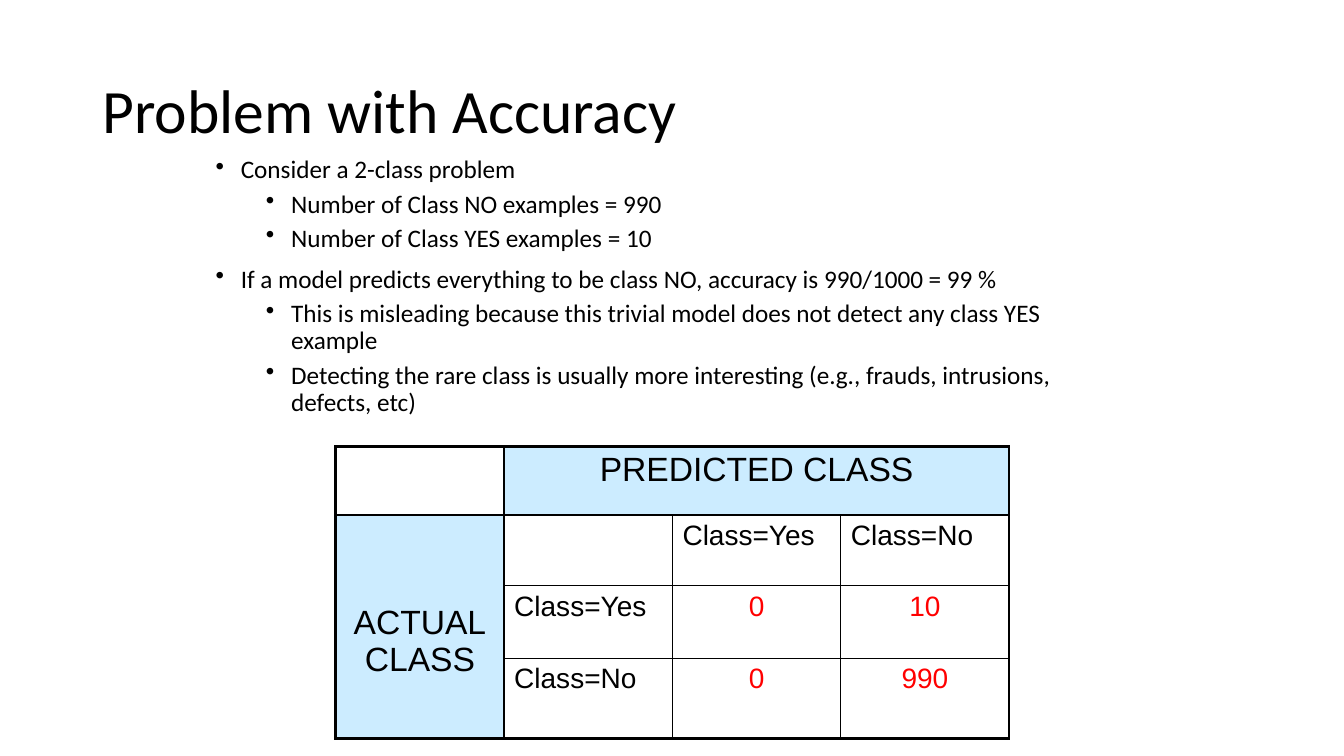
import pptx
import pptx.dml.color
import pptx.enum.text
import pptx.oxml
import pptx.oxml.ns
import pptx.util

SCALE = 9144
HUES = {"ink": "000000", "pale": "CCECFF", "red": "FF0000"}
ALIGN = pptx.enum.text.PP_ALIGN
ANCHOR = pptx.enum.text.MSO_ANCHOR
POINTS = [
    (0, "Consider a 2-class problem"),
    (1, "Number of Class NO examples = 990"),
    (1, "Number of Class YES examples = 10"),
    (0, "If a model predicts everything to be class NO, accuracy is 990/1000 = 99 %"),
    (1, "This is misleading because this trivial model does not detect any class YES example"),
    (1, "Detecting the rare class is usually more interesting (e.g., frauds, intrusions, defects, etc)"),
]
LABELS = [(1, 2, "Class=Yes"), (1, 3, "Class=No"), (2, 1, "Class=Yes"), (3, 1, "Class=No")]
COUNTS = [(2, 2, "0"), (2, 3, "10"), (3, 2, "0"), (3, 3, "990")]


def px(size):
    return pptx.util.Emu(size * SCALE)


def tint(name):
    return pptx.dml.color.RGBColor.from_string(HUES[name])


def add_run(para, text, size, face, hue="ink"):
    run = para.add_run()
    run.text = text
    run.font.size = pptx.util.Pt(size)
    run.font.name = face
    run.font.color.rgb = tint(hue)


def add_box(slide, place, anchor):
    frame = slide.shapes.add_textbox(*map(px, place)).text_frame
    frame.word_wrap = True
    frame.vertical_anchor = anchor
    return frame


def add_title(slide, text):
    para = add_box(slide, (92, 40, 1150, 145), ANCHOR.MIDDLE).paragraphs[0]
    para.line_spacing = 0.9
    add_run(para, text, 44, "Calibri")


def add_list(slide, points):
    frame = add_box(slide, (204, 151, 910, 567), ANCHOR.TOP)
    for rank, (level, text) in enumerate(points):
        para = frame.add_paragraph() if rank else frame.paragraphs[0]
        para.level = level
        para.line_spacing = 0.9
        para.space_before = pptx.util.Pt(5 if level else 10)
        props = para._p.get_or_add_pPr()
        props.set("marL", str(px(25 + 50 * level)))
        props.set("indent", str(px(-25)))
        mark = pptx.oxml.ns.qn("a:buChar")
        props.append(props.makeelement(mark, {"char": "•"}))
        add_run(para, text, 18, "Calibri")


def add_edges(cell, row, col):
    outer = {
        "L": col == 0,
        "R": col + cell.span_width == 4,
        "T": row == 0,
        "B": row + cell.span_height == 4,
    }
    props = cell._tc.get_or_add_tcPr()
    for rank, (side, thick) in enumerate(outer.items()):
        width = pptx.util.Pt(2.25 if thick else 1)
        props.insert(rank, pptx.oxml.parse_xml(
            f'<a:ln{side} {pptx.oxml.ns.nsdecls("a")} w="{width}"><a:solidFill>'
            f'<a:srgbClr val="{HUES["ink"]}"/></a:solidFill></a:ln{side}>'))


def fill_cell(cell, text, size, hue="ink", align=ALIGN.CENTER):
    para = cell.text_frame.paragraphs[0]
    para.alignment = align
    para.space_after = pptx.util.Pt(4)
    for rank, line in enumerate(text.split("\n")):
        if rank:
            para.add_line_break()
        add_run(para, line, size, "Arial", hue)


def add_grid(slide):
    grid = slide.shapes.add_table(4, 4, *map(px, (333, 443, 668, 290))).table
    grid.first_row = grid.horz_banding = False
    for col in grid.columns:
        col.width = px(167)
    for row, high in zip(grid.rows, (68, 70, 72, 80)):
        row.height = px(high)
    top, side = grid.cell(0, 1), grid.cell(1, 0)
    top.merge(grid.cell(0, 3))
    side.merge(grid.cell(3, 0))
    for row in range(4):
        for col in range(4):
            cell = grid.cell(row, col)
            cell.fill.background()
            if not cell.is_spanned:
                add_edges(cell, row, col)
    for head, text in ((top, "PREDICTED CLASS"), (side, "ACTUAL\nCLASS")):
        head.fill.solid()
        head.fill.fore_color.rgb = tint("pale")
        fill_cell(head, text, 24)
    side.margin_top = px(88)
    for row, col, text in LABELS:
        fill_cell(grid.cell(row, col), text, 20, align=ALIGN.LEFT)
    for row, col, text in COUNTS:
        fill_cell(grid.cell(row, col), text, 20, "red")


def main():
    deck = pptx.Presentation()
    deck.slide_width, deck.slide_height = px(1333), px(750)
    slide = deck.slides.add_slide(deck.slide_layouts[6])
    add_title(slide, "Problem with Accuracy")
    add_list(slide, POINTS)
    add_grid(slide)
    deck.save("out.pptx")


if __name__ == "__main__":
    main()
